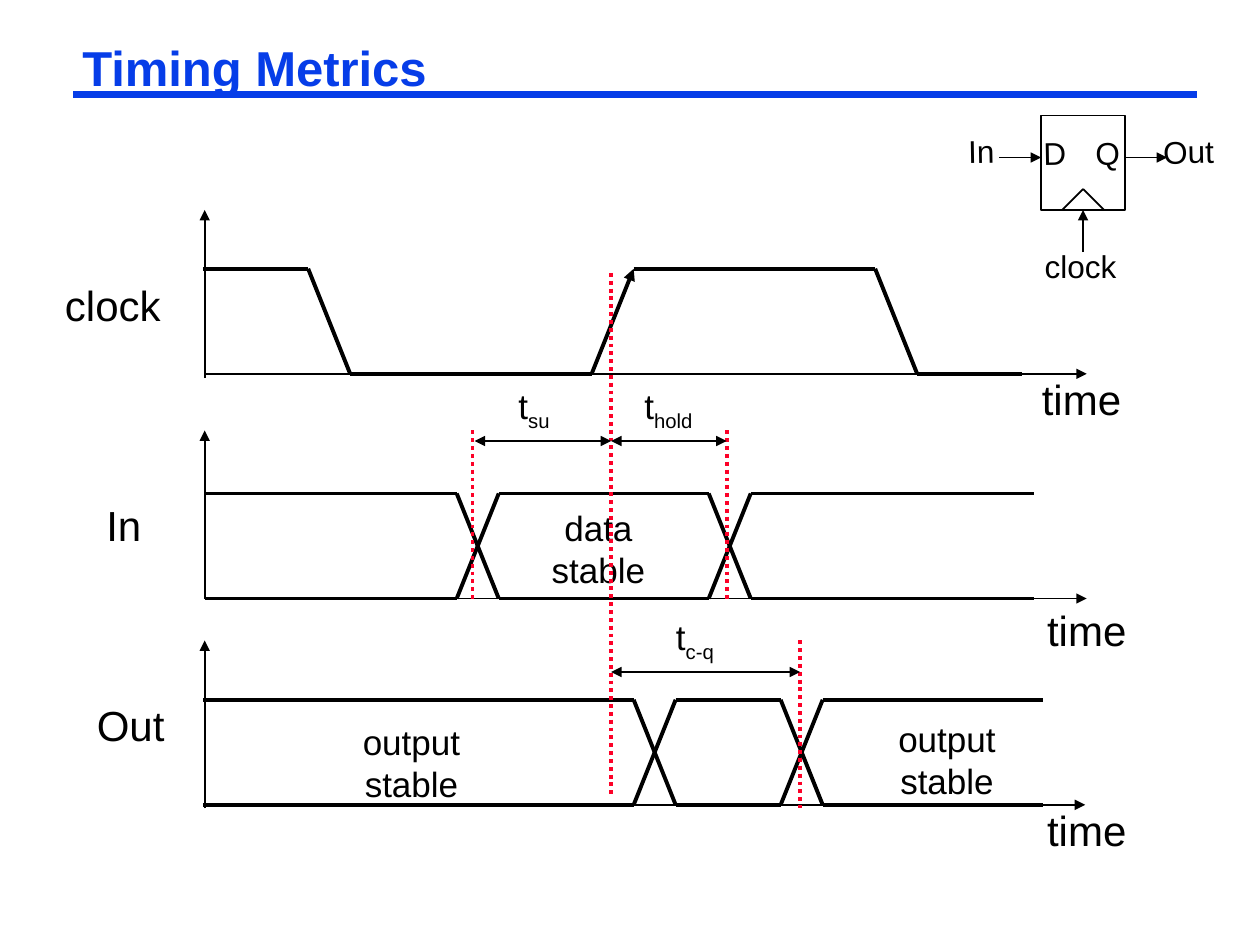
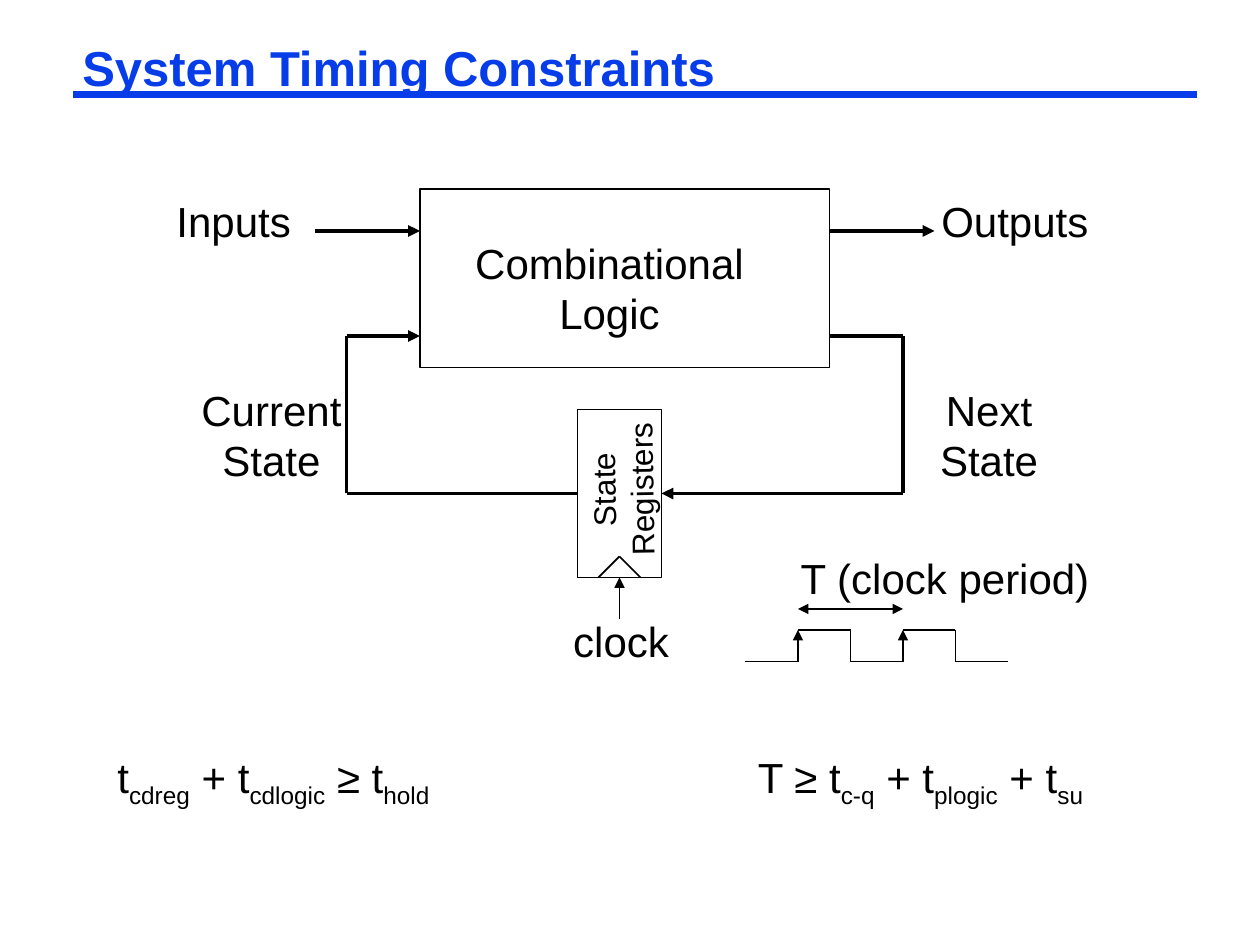
from dataclasses import dataclass, field

from lxml import etree
from pptx import Presentation
from pptx.dml.color import RGBColor
from pptx.enum.dml import MSO_LINE
from pptx.enum.shapes import MSO_CONNECTOR, MSO_SHAPE
from pptx.enum.text import MSO_AUTO_SIZE, PP_ALIGN
from pptx.oxml.ns import qn
from pptx.util import Emu, Inches, Pt

DOTTED = MSO_LINE.ROUND_DOT
STRAIGHT = MSO_CONNECTOR.STRAIGHT
RECTANGLE = MSO_SHAPE.RECTANGLE
FIT_SHAPE = MSO_AUTO_SIZE.SHAPE_TO_FIT_TEXT
CENTER, LEFT = PP_ALIGN.CENTER, PP_ALIGN.LEFT

COLUMNS, ROWS = 120, 90
CROSSING = 4


@dataclass(frozen=True)
class Theme:
    """Colours, font, type sizes and line weights."""
    ink: RGBColor = field(default_factory=lambda: RGBColor.from_string("000000"))
    accent: RGBColor = field(default_factory=lambda: RGBColor.from_string("063DE8"))
    marker: RGBColor = field(default_factory=lambda: RGBColor.from_string("FC0128"))
    font: str = "Arial"
    title: int = 28
    large: int = 24
    medium: int = 20
    small: int = 18
    thin: float = 1
    bold: float = 2.25
    band: float = 4.5


class TimingDeck:
    """Draws timing diagrams on a grid of 120 columns by 90 rows."""

    def __init__(self, theme):
        """Open an empty deck with the given theme."""
        self.theme = theme
        self.deck = Presentation()
        self.deck.slide_width, self.deck.slide_height = Inches(10), Inches(7.5)
        self.page = None

    def x(self, columns):
        """Turn columns into a length."""
        return Emu(round(self.deck.slide_width * columns / COLUMNS))

    def y(self, rows):
        """Turn rows into a length."""
        return Emu(round(self.deck.slide_height * rows / ROWS))

    def add_page(self, title):
        """Start a slide with its title and the rule below it."""
        theme = self.theme
        self.page = self.deck.slides.add_slide(self.deck.slide_layouts[6])
        self.line((7, 9), (114, 9), theme.band, color=theme.accent)
        box = self.page.shapes.add_textbox(self.x(7), self.y(4), self.x(107), self.y(5.5))
        frame = box.text_frame
        frame.word_wrap = True
        frame.margin_left = frame.margin_right = Inches(0.07)
        frame.margin_top = frame.margin_bottom = Inches(0.03)
        para = frame.paragraphs[0]
        para.text = title
        para.line_spacing = 0.87
        self.style(para, theme.title, theme.accent)
        para.font.bold = True

    def style(self, para, size, color):
        """Set the font of a paragraph."""
        para.font.name = self.theme.font
        para.font.size = Pt(size)
        para.font.color.rgb = color

    def label(self, text, left, top, width, size, align=CENTER, turn=0):
        """Add text; newlines split paragraphs and bars enclose subscripts."""
        lines = text.split("\n")
        height = Pt(len(lines) * size * 1.2) + Inches(0.1)
        box = self.page.shapes.add_textbox(self.x(left), self.y(top), self.x(width), height)
        box.rotation = turn
        frame = box.text_frame
        frame.word_wrap = False
        frame.auto_size = FIT_SHAPE
        for index, line in enumerate(lines):
            para = frame.add_paragraph() if index else frame.paragraphs[0]
            para.alignment = align
            self.style(para, size, self.theme.ink)
            for place, part in enumerate(line.split("|")):
                span = para.add_run()
                span.text = part
                if place % 2:
                    span.font._element.set("baseline", "-25000")

    def line(self, start, end, weight, color=None, head=False, tail=False, dash=None):
        """Draw a line with optional arrowheads."""
        connector = self.page.shapes.add_connector(
            STRAIGHT, self.x(start[0]), self.y(start[1]), self.x(end[0]), self.y(end[1]))
        connector.line.width = Pt(weight)
        connector.line.color.rgb = color or self.theme.ink
        if dash:
            connector.line.dash_style = dash
        properties = connector._element.spPr
        outline = properties.find(qn("a:ln"))
        for tag, wanted in (("a:headEnd", head), ("a:tailEnd", tail)):
            if wanted:
                etree.SubElement(outline, qn(tag), type="triangle")
        etree.SubElement(properties, qn("a:effectLst"))

    def trace(self, points, weight, arrows=()):
        """Join points in order; arrows lists the segments with an arrowhead."""
        for index, (start, end) in enumerate(zip(points, points[1:])):
            self.line(start, end, weight, tail=index in arrows)

    def axes(self, left, top, bottom, base):
        """Draw the level axis and the time axis of one signal."""
        self.line((19.5, bottom), (19.5, top), self.theme.thin, tail=True)
        self.line((left, base), (left + 84, base), self.theme.thin, tail=True)

    def bus(self, left, right, high, crossings):
        """Draw a two-level signal that changes at each crossing."""
        low = high + 10
        starts = [left] + [column + CROSSING for column in crossings]
        for start, end in zip(starts, crossings + [right]):
            for row in (high, low):
                self.line((start, row), (end, row), self.theme.bold)
        for column in crossings:
            for first, last in ((high, low), (low, high)):
                self.line((column, first), (column + CROSSING, last), self.theme.bold)

    def marker(self, column, top, bottom):
        """Draw a dotted line at one moment."""
        self.line((column, top), (column, bottom), self.theme.bold,
                  color=self.theme.marker, dash=DOTTED)

    def interval(self, left, right, row):
        """Draw a double arrow between two moments."""
        self.line((left, row), (right, row), self.theme.thin, head=True, tail=True)

    def box(self, left, top, width, height):
        """Draw an outlined rectangle."""
        shape = self.page.shapes.add_shape(
            RECTANGLE, self.x(left), self.y(top), self.x(width), self.y(height))
        shape.shadow.inherit = False
        shape.fill.background()
        shape.line.color.rgb = self.theme.ink
        shape.line.width = Pt(self.theme.thin)

    def register(self, left, top, height):
        """Draw a clocked register with its wedge and clock arrow."""
        middle, bottom = left + 4, top + height
        self.box(left, top, 8, height)
        self.trace([(middle - 2, bottom), (middle, bottom - 2), (middle + 2, bottom)],
                   self.theme.thin)
        self.line((middle, bottom + 4), (middle, bottom), self.theme.thin, tail=True)


def draw_metrics(draw):
    """Build the slide with the three waveforms."""
    theme = draw.theme
    draw.add_page("Timing Metrics")

    for axis in ((19.5, 20, 36, 35.6), (19.5, 41, 57, 57), (19.35, 61, 77, 76.65)):
        draw.axes(*axis)
    high, low = 25.6, 35.6
    draw.trace([(19.35, high), (29.35, high), (33.35, low), (56.35, low),
                (60.35, high), (83.35, high), (87.35, low), (97.35, low)],
               theme.bold, arrows=(3,))
    draw.bus(19.5, 98.5, 47, [43.5, 67.5])
    draw.bus(19.35, 99.35, 66.65, [60.35, 74.35])

    for name in (("clock", 5, 26, 11.5), ("In", 8.9, 47, 5.8), ("Out", 8, 66, 8.9),
                 ("time", 98, 35, 10), ("time", 98.5, 57, 10), ("time", 98.5, 76, 10)):
        draw.label(*name, theme.large)
    for state in (("data\nstable", 51, 47.6, 12),
                  ("output\nstable", 33.1, 68, 12.2),
                  ("output\nstable", 84.1, 67.7, 12.2)):
        draw.label(*state, theme.medium)

    draw.register(99.15, 11, 9)
    for column in (95.15, 107.15):
        draw.line((column, 15), (column + 4, 15), theme.thin, tail=True)
    draw.label("clock", 98.3, 22.9, 9.2, theme.small)
    for pin in (("D", 98.2, 12.2, 4.5), ("Q", 103.1, 12.2, 4.8),
                ("In", 91, 12, 4.9), ("Out", 109.6, 12, 7.2)):
        draw.label(*pin, theme.small, turn=359)

    edge = 58.2
    for moment in ((45, 41, 57), (edge, 26, 76), (69.2, 41, 57), (76.2, 61, 77)):
        draw.marker(*moment)
    for span in ((45.2, edge, 42), (edge, 69.2, 42), (edge, 76.2, 64)):
        draw.interval(*span)
    for metric in (("t|su", 48.2, 36, 5.6), ("t|hold", 60.2, 36, 7.4),
                   ("t|c-q", 63.2, 58, 6.4)):
        draw.label(*metric, theme.medium, align=LEFT)


def draw_constraints(draw):
    """Build the slide with the state machine and its two constraints."""
    theme = draw.theme
    draw.add_page("System Timing Constraints")

    draw.box(40, 18, 39, 17)
    for column in (30, 79):
        draw.line((column, 22), (column + 10, 22), theme.bold, tail=True)
    draw.register(55, 39, 16)
    draw.trace([(79, 32), (86, 32), (86, 47), (63, 47)], theme.bold, arrows=(2,))
    draw.trace([(55, 47), (33, 47), (33, 32), (40, 32)], theme.bold, arrows=(2,))

    for name in (("Combinational\nLogic", 44, 22, 28.1), ("Inputs", 15.6, 18, 13.3),
                 ("Outputs", 88.4, 18, 16.5), ("Current\nState", 18, 36, 15.7),
                 ("Next\nState", 88.3, 36, 11.8), ("clock", 53.4, 58, 11.5),
                 ("T (clock period)", 75, 52, 30)):
        draw.label(*name, theme.large)
    draw.label("State\nRegisters", 51.7, 42.4, 15.1, theme.small, turn=269)

    high, low, half = 60, 63, 5
    points = [(71, low)]
    for rise in (76, 86):
        fall = rise + half
        points += [(rise, low), (rise, high), (fall, high), (fall, low)]
    draw.trace(points + [(96, low)], theme.thin, arrows=(1, 5))
    draw.interval(76, 86, 58)

    draw.label("t|cdreg| + t|cdlogic| ≥ t|hold", 10, 71, 34.7, theme.large, align=LEFT)
    draw.label("T ≥ t|c-q| + t|plogic| + t|su", 71, 71, 35.2, theme.large, align=LEFT)


def main():
    """Build and save the deck."""
    draw = TimingDeck(Theme())
    draw_metrics(draw)
    draw_constraints(draw)
    draw.deck.save("out.pptx")


main()
